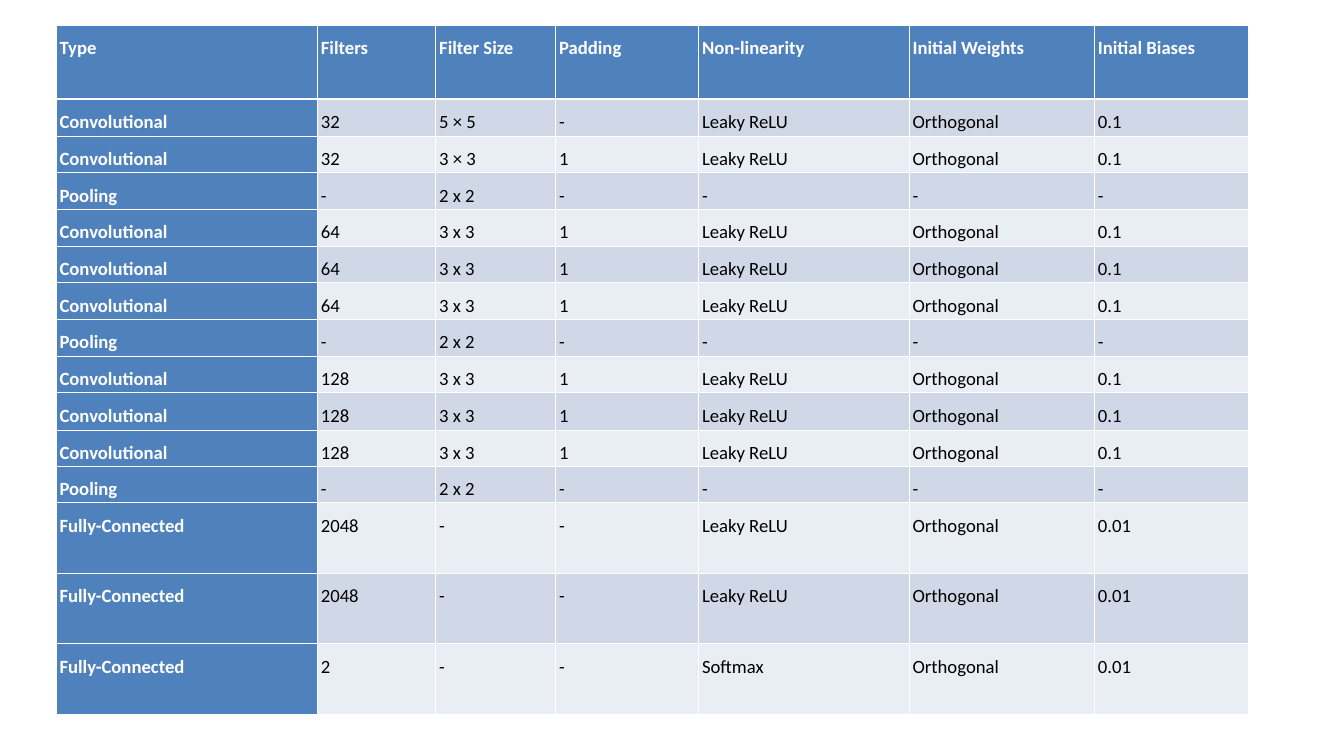
from dataclasses import dataclass

from lxml import etree
from pptx import Presentation
from pptx.dml.color import RGBColor
from pptx.enum.text import MSO_ANCHOR, PP_ALIGN
from pptx.oxml.ns import qn
from pptx.util import Pt

JUSTIFY = PP_ALIGN.JUSTIFY
TOP = MSO_ANCHOR.TOP


@dataclass(frozen=True)
class Theme:
    font: str = "Calibri"
    size: int = 20
    white: str = "FFFFFF"
    black: str = "000000"
    blue: str = "4F81BD"
    bands: tuple = ("D0D8E8", "E9EDF4")
    thin: int = 1
    thick: int = 3


theme = Theme()


def add_edge(cell, side, width):
    """Draw one white border; side is L, R, T or B."""
    line = etree.SubElement(cell._tc.get_or_add_tcPr(), qn("a:ln" + side),
                            w=str(Pt(width)))
    fill = etree.SubElement(line, qn("a:solidFill"))
    etree.SubElement(fill, qn("a:srgbClr"), val=theme.white)


def conv(count, size="3 x 3", pad="1"):
    return ["Convolutional", count, size, pad, "Leaky ReLU", "Orthogonal", "0.1"]


pool = ["Pooling", "-", "2 x 2", "-", "-", "-", "-"]
dense = ["Fully-Connected", "2048", "-", "-", "Leaky ReLU", "Orthogonal", "0.01"]
final = ["Fully-Connected", "2", "-", "-", "Softmax", "Orthogonal", "0.01"]
header = ["Type", "Filters", "Filter Size", "Padding", "Non-linearity",
          "Initial Weights", "Initial Biases"]
rows = [
    header,
    conv("32", "5 × 5", "-"), conv("32", "3 × 3"), pool,
    *[conv("64")] * 3, pool,
    *[conv("128")] * 3, pool,
    dense, dense, final,
]
widths = [280, 126.8, 128.4, 153.2, 225.6, 198.6, 165.4]
tall, short = 40.1, 38.9
heights = [79.2, *[tall, short, short] * 2, tall, short, tall, short, short,
           *[75.5] * 3]

deck = Presentation()
deck.slide_width, deck.slide_height = Pt(1440), Pt(810)
slide = deck.slides.add_slide(deck.slide_layouts[6])

frame = slide.shapes.add_table(len(rows), len(header), Pt(60), Pt(27),
                               Pt(sum(widths)), Pt(sum(heights)))
table = frame.table
for col, width in zip(table.columns, widths):
    col.width = Pt(width)
for row, height in zip(table.rows, heights):
    row.height = Pt(height)

for i, row in enumerate(rows):
    for j, text in enumerate(row):
        cell = table.cell(i, j)
        head = i == 0 or j == 0
        cell.margin_left = cell.margin_right = Pt(3.8)
        cell.margin_top = cell.margin_bottom = Pt(0)
        cell.vertical_anchor = TOP

        # The rule under the header is shared by rows 0 and 1.
        for side in "LRTB":
            rule = (i, side) in ((0, "B"), (1, "T"))
            add_edge(cell, side, theme.thick if rule else theme.thin)
        cell.fill.solid()
        shade = theme.blue if head else theme.bands[(i - 1) % 2]
        cell.fill.fore_color.rgb = RGBColor.from_string(shade)

        para = cell.text_frame.paragraphs[0]
        para.alignment = JUSTIFY
        para.line_spacing = 1.5
        run = para.add_run()
        run.text = text
        font = run.font
        font.name, font.size, font.bold = theme.font, Pt(theme.size), head
        ink = theme.white if head else theme.black
        font.color.rgb = RGBColor.from_string(ink)

deck.save("out.pptx")
